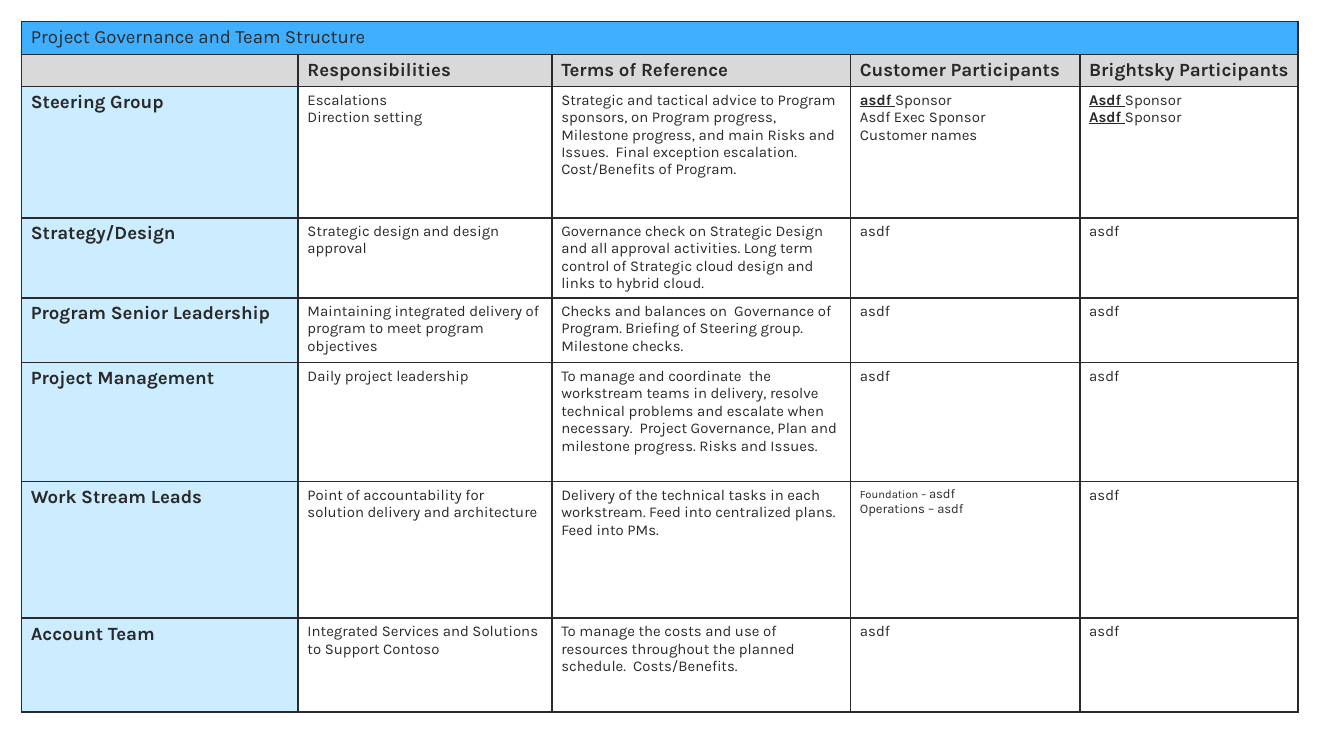
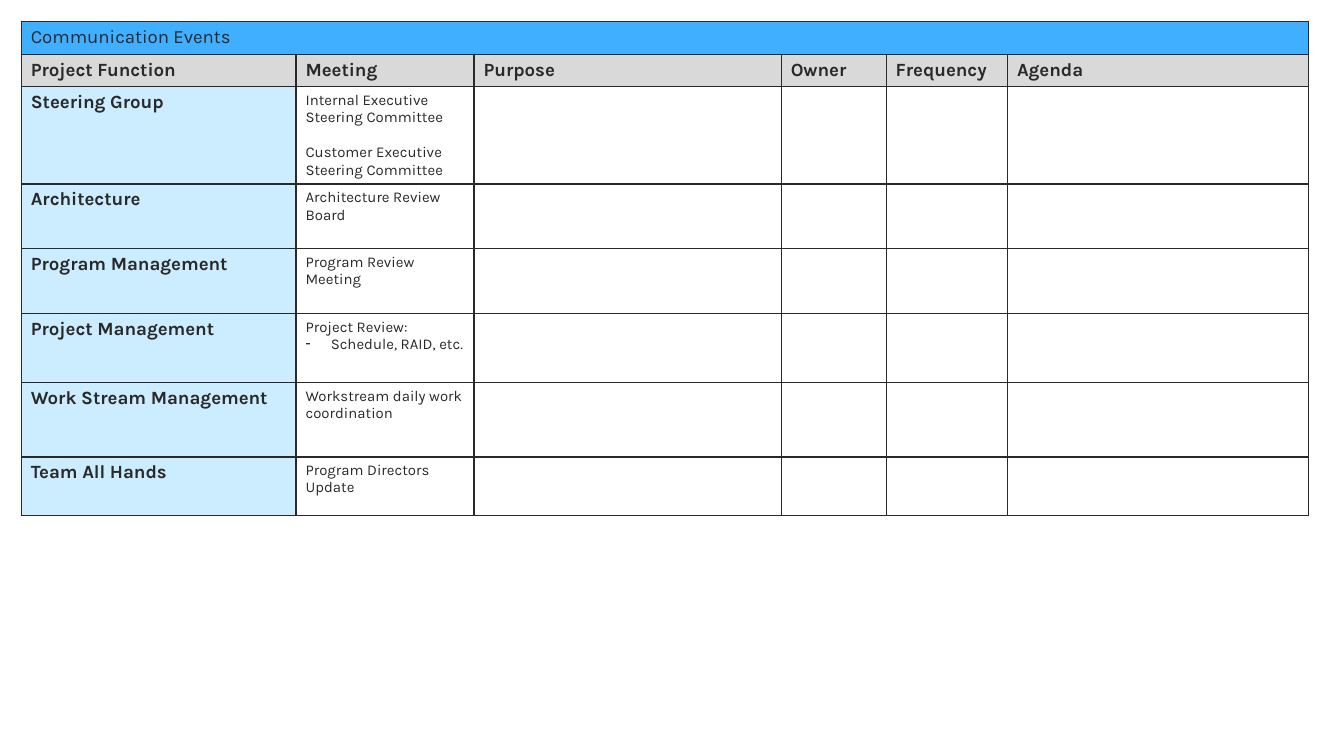
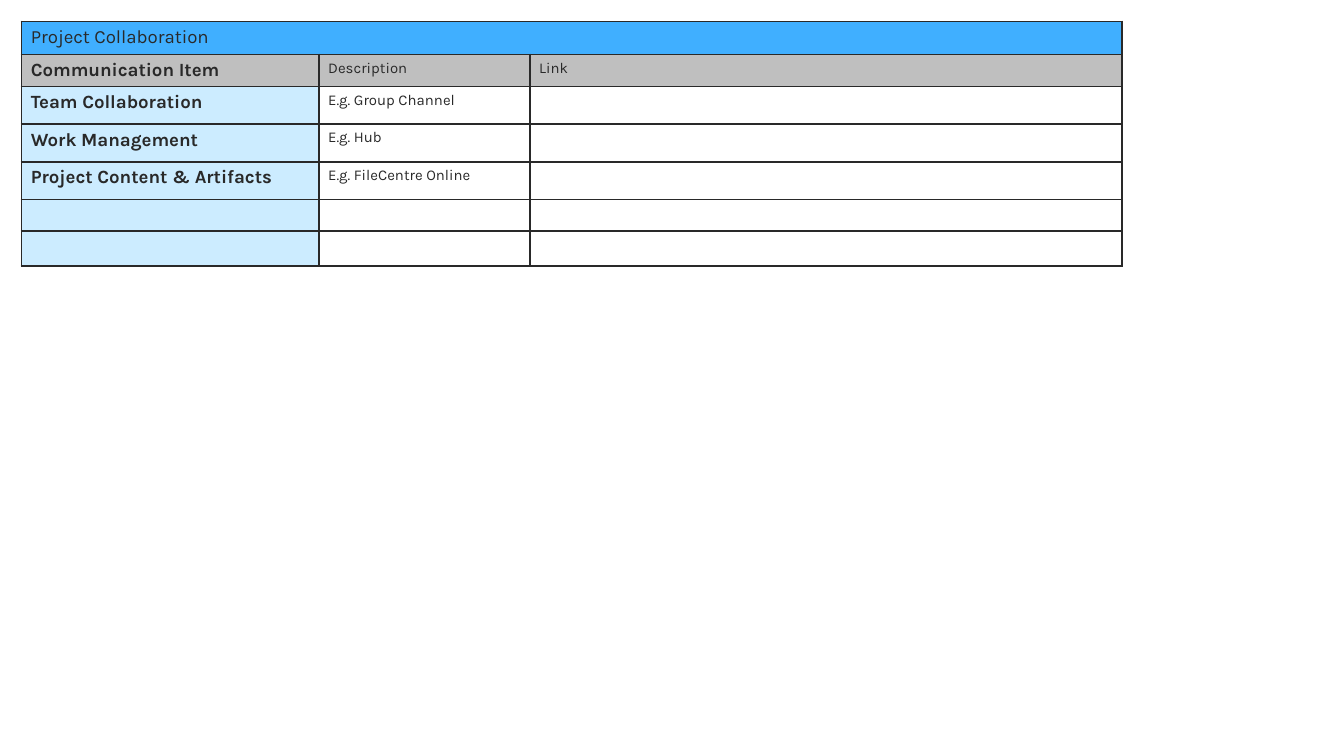
from pptx import Presentation as Deck
from pptx.dml.color import RGBColor as Rgb
from pptx.util import Pt
from pptx.oxml.ns import qn
from lxml.etree import SubElement as Sub

FONT = "Karla"
INK = "292929"
BLUE = "40AFFF"
PALE = "CCECFF"
GREY = "D9D9D9"
DARK = "BFBFBF"
EDGE = 11.5
BIG, SMALL = 10, 8

TEAM = [
    ["", "Responsibilities", "Terms of Reference", "Customer Participants",
     "Brightsky Participants"],
    ["Steering Group", "Escalations\nDirection setting",
     "Strategic and tactical advice to Program sponsors, on Program progress, "
     "Milestone progress, and main Risks and Issues.  Final exception "
     "escalation. Cost/Benefits of Program.",
     "asdf |Sponsor\nAsdf Exec Sponsor\nCustomer names",
     "Asdf |Sponsor\nAsdf |Sponsor"],
    ["Strategy/Design", "Strategic design and design approval",
     "Governance check on Strategic Design and all approval activities. Long "
     "term control of Strategic cloud design and links to hybrid cloud.",
     "asdf", "asdf"],
    ["Program Senior Leadership",
     "Maintaining integrated delivery of program to meet program objectives",
     "Checks and balances on  Governance of Program. Briefing of Steering "
     "group. Milestone checks.", "asdf", "asdf"],
    ["Project Management", "Daily project leadership",
     "To manage and coordinate  the workstream teams in delivery, resolve "
     "technical problems and escalate when necessary.  Project Governance, "
     "Plan and milestone progress. Risks and Issues.", "asdf", "asdf"],
    ["Work Stream Leads",
     "Point of accountability for solution delivery and architecture",
     "Delivery of the technical tasks in each workstream. Feed into "
     "centralized plans.\nFeed into PMs.",
     "Foundation – |asdf\nOperations – asdf", "asdf"],
    ["Account Team", "Integrated Services and Solutions to Support Contoso",
     "To manage the costs and use of resources throughout the planned "
     "schedule.  Costs/Benefits.", "asdf", "asdf"],
]

EVENTS = [
    ["Project Function", "Meeting", "Purpose", "Owner", "Frequency", "Agenda"],
    ["Steering Group", "Internal Executive Steering Committee\n"
     "Customer Executive Steering Committee"],
    ["Architecture", "Architecture Review Board"],
    ["Program Management", "Program Review Meeting"],
    ["Project Management", "Project Review:\nSchedule, RAID, etc."],
    ["Work Stream Management", "Workstream daily work coordination"],
    ["Team All Hands", "Program Directors Update"],
]

ITEMS = [
    ["Communication Item", "Description", "Link"],
    ["Team Collaboration", "E.g. Group Channel"],
    ["Work Management", "E.g. Hub"],
    ["Project Content & Artifacts", "E.g. FileCentre Online"],
    [],
    [],
]


def color(code):
    return Rgb.from_string(code)


def border(cell):
    props = cell._tc.get_or_add_tcPr()
    for side in ("lnL", "lnR", "lnT", "lnB"):
        line = Sub(props, qn("a:" + side), w=str(Pt(1)))
        fill = Sub(line, qn("a:solidFill"))
        Sub(fill, qn("a:srgbClr"), val=INK)


def paint(cell, code):
    border(cell)
    if code:
        cell.fill.solid()
        cell.fill.fore_color.rgb = color(code)
    else:
        cell.fill.background()


def style(run, size, bold):
    font = run.font
    font.name = FONT
    font.size = Pt(size)
    font.bold = bold
    font.color.rgb = color(INK)


def write(cell, text, size, bold):
    cell.margin_left = cell.margin_right = Pt(5.04)
    cell.margin_top = cell.margin_bottom = Pt(2.7)
    frame = cell.text_frame
    frame.text = text.replace("|", "")
    for para, line in zip(frame.paragraphs, text.split("\n")):
        if not line:
            Sub(para._p, qn("a:endParaRPr"), sz=str(SMALL * 100))
        if "|" in line:
            head, tail = line.split("|")
            para.runs[0].text = head
            para.add_run().text = tail
        for run in para.runs:
            style(run, size, bold)


def mark(cell):
    for para in cell.text_frame.paragraphs:
        if len(para.runs) > 1:
            para.runs[0].font.bold = True
            para.runs[0].font.underline = True


def shrink(cell):
    for para in cell.text_frame.paragraphs:
        for run in para.runs:
            run.font.size = Pt(7)
    cell.text_frame.paragraphs[0].runs[0].font.size = Pt(6)


def dash(para):
    props = para._p.get_or_add_pPr()
    props.set("marL", str(Pt(13.5)))
    props.set("indent", str(-Pt(13.5)))
    Sub(props, qn("a:buChar"), char="-")


def grid(deck, title, body, cols, rows, shade=GREY, bolds=None):
    slide = deck.slides.add_slide(deck.slide_layouts[6])
    wide = len(cols)
    bolds = bolds or wide
    table = slide.shapes.add_table(
        len(rows), wide, Pt(EDGE), Pt(EDGE), Pt(sum(cols)), Pt(sum(rows))).table
    table.first_row = table.horz_banding = False
    for col, width in zip(table.columns, cols):
        col.width = Pt(width)
    for row, height in zip(table.rows, rows):
        row.height = Pt(height)
    for y, line in enumerate([[title]] + body):
        for x in range(wide):
            cell = table.cell(y, x)
            text = line[x] if x < len(line) else ""
            bold = y == 1 and x < bolds or y > 1 and x == 0
            fill = (BLUE, shade)[y] if y < 2 else PALE if x == 0 else None
            paint(cell, fill)
            write(cell, text, BIG if bold or y == 0 else SMALL, bold)
    table.cell(0, 0).merge(table.cell(0, wide - 1))
    return table


def main():
    deck = Deck()
    deck.slide_width, deck.slide_height = Pt(720), Pt(405)

    team = grid(deck, "Project Governance and Team Structure", TEAM,
                [148.2, 136, 160, 122.8, 117],
                [17.7, 17.1, 70.4, 42.6, 34.8, 63.7, 73.2, 50.4])
    mark(team.cell(2, 3))
    mark(team.cell(2, 4))
    shrink(team.cell(6, 3))

    events = grid(deck, "Communication Events", EVENTS,
                  [147.2, 95.4, 164.6, 56.2, 65, 161.2],
                  [17.7, 17.1, 52, 34.7, 34.7, 37, 39.8, 31.4])
    events.cell(2, 1).text_frame.paragraphs[1].space_before = Pt(9.4)
    dash(events.cell(5, 1).text_frame.paragraphs[1])

    grid(deck, "Project Collaboration", ITEMS, [159.3, 113, 317.4],
         [17.7, 17.1, 20.2, 20.2, 20.2, 16.9, 18.7], DARK, 1)
    deck.save("out.pptx")


main()
